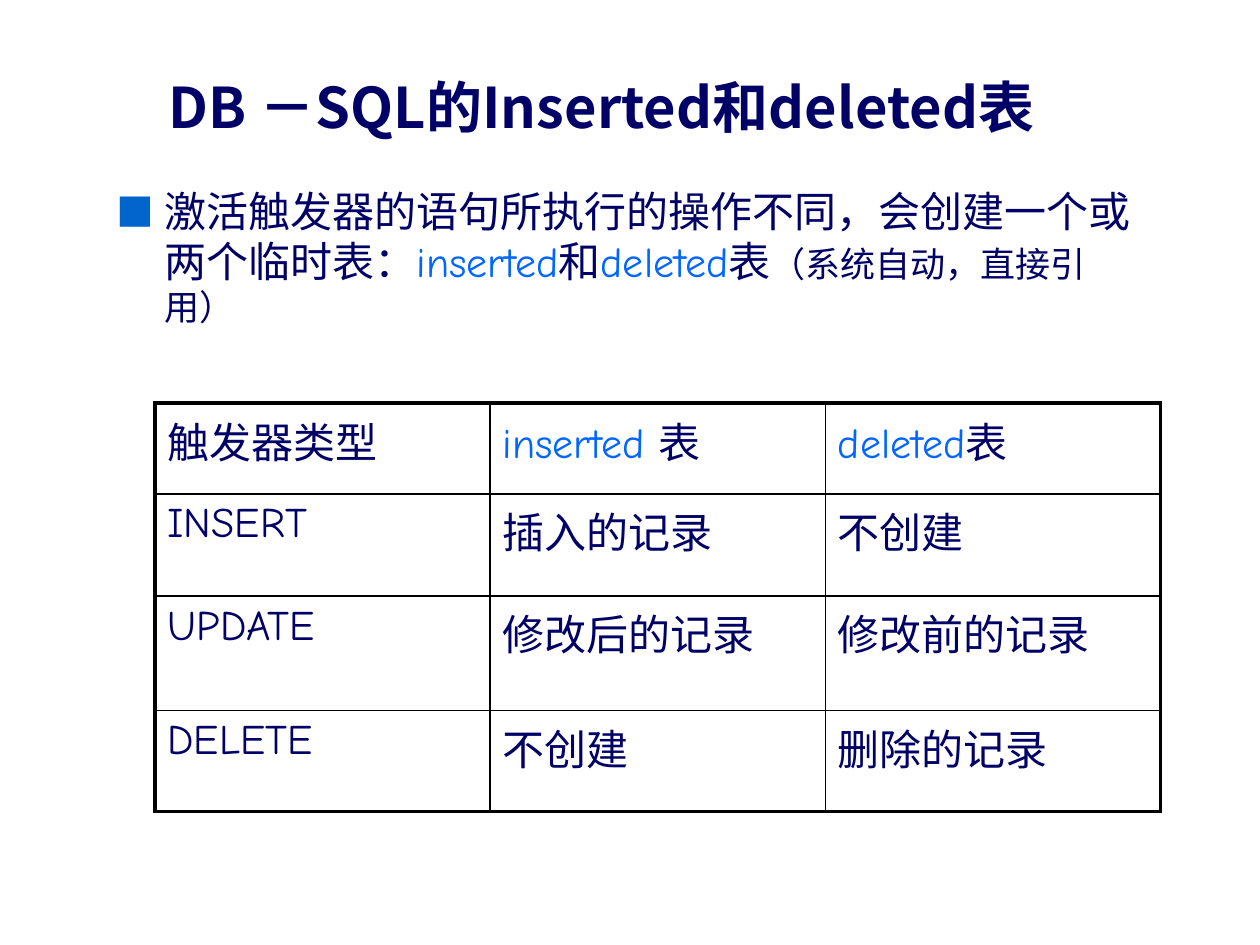
from lxml.etree import SubElement
from pptx import Presentation
from pptx.dml.color import RGBColor
from pptx.enum.text import MSO_ANCHOR, PP_ALIGN
from pptx.oxml import parse_xml
from pptx.oxml.ns import nsdecls, qn
from pptx.util import Inches, Pt

NAVY = RGBColor(0x00, 0x00, 0x66)
BLUE = RGBColor(0x00, 0x66, 0xFF)
BULLET = RGBColor(0x00, 0x66, 0xCC)
BLACK = RGBColor(0, 0, 0)
CJK, COMIC = "Noto Sans CJK JP", "Comic Neue"

# Run styles: font, colour, size
TEXT = (CJK, NAVY, 24)
SMALL = (CJK, NAVY, 20)
KEYWORD = (COMIC, BLUE, 24)
COMMAND = (COMIC, NAVY, 24)
HEADING = (CJK, NAVY, 32)

TITLE = [("DB －SQL的Inserted和deleted表", HEADING)]
BODY = [
    ("激活触发器的语句所执行的操作不同，会创建一个或两个临时表：", TEXT),
    ("inserted", KEYWORD), ("和", TEXT), ("deleted", KEYWORD), ("表", TEXT),
    ("（系统自动，直接引用）", SMALL),
]
ROWS = [
    [[("触发器类型", TEXT)],
     [("inserted ", KEYWORD), ("表", TEXT)],
     [("deleted", KEYWORD), ("表", TEXT)]],
] + [
    [[(command, COMMAND)], [(inserted, TEXT)], [(deleted, TEXT)]]
    for command, inserted, deleted in [
        ("INSERT", "插入的记录", "不创建"),
        ("UPDATE", "修改后的记录", "修改前的记录"),
        ("DELETE", "不创建", "删除的记录"),
    ]
]
COL_WIDTH = 2.66
ROW_HEIGHTS = [0.72, 0.81, 0.91, 0.8]
OUTER, INNER = 2.25, 1


def add_runs(p, runs, bold=False):
    """Fill a paragraph with styled runs."""
    for text, (font, color, size) in runs:
        r = p.add_run()
        r.text = text
        r.font.size, r.font.bold = Pt(size), bold
        r.font.color.rgb = color
        r.font.name = font
        SubElement(r.font._element, qn("a:ea"), typeface=font)


def space_before(p, percent):
    """Set the space before a paragraph as a share of its line."""
    spacing = SubElement(p._p.get_or_add_pPr(), qn("a:spcBef"))
    SubElement(spacing, qn("a:spcPct"), val=str(percent * 1000))


def add_bullet(p, char, color, percent, indent):
    """Give a paragraph a coloured bullet and a hanging indent."""
    pPr = p._p.get_or_add_pPr()
    pPr.set("marL", str(Inches(indent)))
    pPr.set("indent", str(-Inches(indent)))
    SubElement(SubElement(pPr, qn("a:buClr")), qn("a:srgbClr"), val=str(color))
    SubElement(pPr, qn("a:buSzPct"), val=str(percent * 1000))
    SubElement(pPr, qn("a:buFont"), typeface=CJK)
    SubElement(pPr, qn("a:buChar"), char=char)


def set_borders(cell, widths):
    """Draw the left, right, top and bottom borders of a cell."""
    tcPr = cell._tc.get_or_add_tcPr()
    for i, (side, width) in enumerate(zip("LRTB", widths)):
        tcPr.insert(i, parse_xml(
            f'<a:ln{side} {nsdecls("a")} w="{Pt(width)}"><a:solidFill>'
            f'<a:srgbClr val="{BLACK}"/></a:solidFill></a:ln{side}>'))


def add_grid(s, left, top):
    """Add the table, with a heavy outline and thin inner lines."""
    n_rows, n_cols = len(ROWS), len(ROWS[0])
    table = s.shapes.add_table(
        n_rows, n_cols, Inches(left), Inches(top),
        Inches(COL_WIDTH * n_cols), Inches(sum(ROW_HEIGHTS))).table
    table.first_row = table.horz_banding = False
    for column in table.columns:
        column.width = Inches(COL_WIDTH)
    for i, row in enumerate(ROWS):
        table.rows[i].height = Inches(ROW_HEIGHTS[i])
        for j, runs in enumerate(row):
            cell = table.cell(i, j)
            cell.fill.background()
            on_edge = (j == 0, j == n_cols - 1, i == 0, i == n_rows - 1)
            set_borders(cell, [OUTER if edge else INNER for edge in on_edge])
            p = cell.text_frame.paragraphs[0]
            space_before(p, 35)
            add_runs(p, runs)


prs = Presentation()
prs.slide_width, prs.slide_height = Inches(10), Inches(7.5)
s = prs.slides.add_slide(prs.slide_layouts[5])

title = s.shapes.title
title.left, title.top = Inches(0.36), Inches(0.11)
title.width, title.height = Inches(8.83), Inches(1.05)
title.text_frame.vertical_anchor = MSO_ANCHOR.BOTTOM
p = title.text_frame.paragraphs[0]
p.alignment = PP_ALIGN.CENTER
add_runs(p, TITLE, bold=True)

body = s.shapes.add_textbox(Inches(0.83), Inches(1.42), Inches(8.36), Inches(5.36))
body.text_frame.word_wrap = True
p = body.text_frame.paragraphs[0]
space_before(p, 35)
add_bullet(p, "■", BULLET, 90, 0.38)
add_runs(p, BODY)

add_grid(s, 1.23, 3.2)
prs.save("out.pptx")
